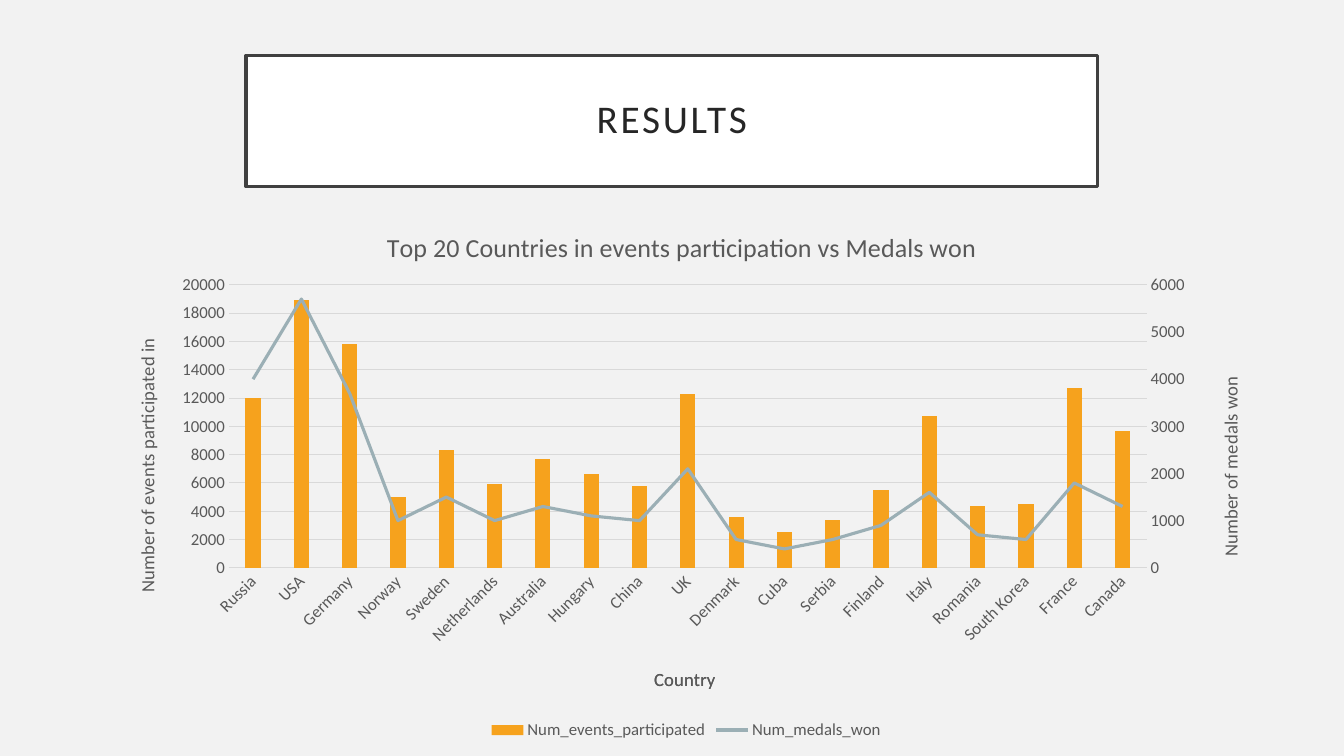
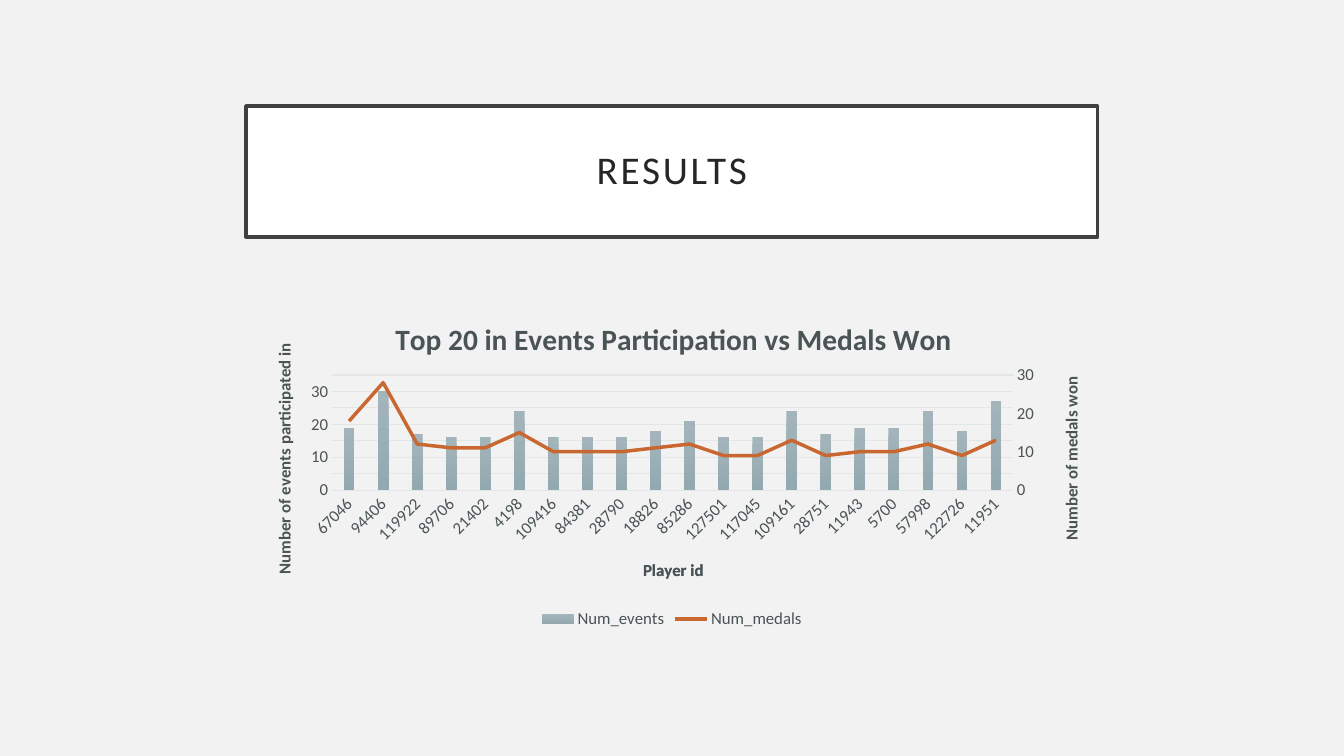
import copy

import pptx
import pptx.chart.axis
import pptx.chart.data
import pptx.dml.color
import pptx.enum.chart
import pptx.enum.text
import pptx.oxml
import pptx.oxml.ns
import pptx.util

Cm = pptx.util.Cm
Pt = pptx.util.Pt
RGBColor = pptx.dml.color.RGBColor
XL = pptx.enum.chart

FONT = "Calibri"
BACKGROUND = RGBColor(0xF2, 0xF2, 0xF2)
WHITE = RGBColor(0xFF, 0xFF, 0xFF)
FRAME = RGBColor(0x40, 0x40, 0x40)
HEADING = RGBColor(0x26, 0x26, 0x26)
GRAY_TEXT = RGBColor(0x59, 0x59, 0x59)
GRAY_GRID = RGBColor(0xD9, 0xD9, 0xD9)
SLATE_TEXT = RGBColor(0x4A, 0x53, 0x56)
SLATE_GRID = RGBColor(0xE3, 0xE6, 0xE7)
AMBER = RGBColor(0xF6, 0xA2, 0x1D)
SLATE = RGBColor(0x9B, 0xAF, 0xB5)
SLATE_LIGHT = RGBColor(0xA3, 0xB5, 0xBB)
SLATE_DARK = RGBColor(0x93, 0xA9, 0xAF)
RUST = RGBColor(0xC9, 0x67, 0x31)

# Boxes and title positions are in centimetres on the slide.
COUNTRIES = dict(
    box=(2.69, 5.03, 29.21, 13.72), plot=(5.77, 7.18, 23.13, 7.13),
    title=("Top 20 Countries in events participation vs Medals won", 9.63, 5.65),
    cat_title=("Country", 16.4, 16.7),
    left_title=("Number of events participated in", 3.3, 8.44),
    right_title=("Number of medals won", 30.6, 9.4),
    title_size=18.6, axis_title_size=13.3, bold=False,
    text=GRAY_TEXT, grid=GRAY_GRID, bars=[AMBER], line=(SLATE, 2.25),
    left_scale=(20000, 2000), right_scale=(6000, 1000),
    cats=["Russia", "USA", "Germany", "Norway", "Sweden", "Netherlands",
          "Australia", "Hungary", "China", "UK", "Denmark", "Cuba", "Serbia",
          "Finland", "Italy", "Romania", "South Korea", "France", "Canada"],
    series={
        "Num_events_participated": [
            12000, 18900, 15800, 5000, 8300, 5900, 7700, 6600, 5800, 12300,
            3600, 2500, 3400, 5500, 10700, 4400, 4500, 12700, 9700],
        "Num_medals_won": [
            4000, 5700, 3700, 1000, 1500, 1000, 1300, 1100, 1000, 2100,
            600, 400, 600, 900, 1600, 700, 600, 1800, 1300]})

PLAYERS = dict(
    box=(6.2, 7.34, 21.46, 8.61), plot=(8.37, 9.45, 17.16, 2.9),
    title=("Top 20 in Events Participation vs Medals Won", 9.83, 7.9),
    cat_title=("Player id", 16.13, 14),
    left_title=("Number of events participated in", 6.8, 8.57),
    right_title=("Number of medals won", 26.63, 9.42),
    title_size=21, axis_title_size=12, bold=True,
    text=SLATE_TEXT, grid=SLATE_GRID, bars=[SLATE_LIGHT, SLATE_DARK],
    line=(RUST, 2.5), left_scale=(35, 5), right_scale=(30, 10),
    cats=["67046", "94406", "119922", "89706", "21402", "4198", "109416",
          "84381", "28790", "18826", "85286", "127501", "117045", "109161",
          "28751", "11943", "5700", "57998", "122726", "11951"],
    series={
        "Num_events": [19, 30, 17, 16, 16, 24, 16, 16, 16, 18,
                       21, 16, 16, 24, 17, 19, 19, 24, 18, 27],
        "Num_medals": [18, 28, 12, 11, 11, 15, 10, 10, 10, 11,
                       12, 9, 9, 13, 9, 10, 10, 12, 9, 13]})


def format_font(font, size, color, bold=False):
    font.name, font.size, font.bold = FONT, Pt(size), bold
    font.color.rgb = color


def put_text(tf, text, size, color, bold=False, spacing=0):
    """Write one run into the first paragraph; spacing is in points."""
    p = tf.paragraphs[0]
    for old in list(p.runs):
        p._p.remove(old._r)
    r = p.add_run()
    r.text = text
    format_font(r.font, size, color, bold)
    if spacing:
        r.font._element.set("spc", str(spacing * 100))
    return p


def add_title(s, text, top):
    sp = s.shapes.title
    sp.left, sp.top, sp.width, sp.height = Cm(6.2), Cm(top), Cm(21.46), Cm(3.3)
    sp.fill.solid()
    sp.fill.fore_color.rgb = WHITE
    sp.line.color.rgb = FRAME
    sp.line.width = Pt(2.5)
    tf = sp.text_frame
    tf.word_wrap = True
    tf.vertical_anchor = pptx.enum.text.MSO_ANCHOR.MIDDLE
    tf.margin_left = tf.margin_right = tf.margin_top = tf.margin_bottom = Cm(0.5)
    p = put_text(tf, text, 28, HEADING, spacing=2)
    p.alignment = pptx.enum.text.PP_ALIGN.CENTER
    p.line_spacing = 0.9


def place(element, index, box, left, top, width=None, height=None):
    """Give a chart part a manual layout from its place on the slide."""
    for old in element.xpath("c:layout"):
        element.remove(old)
    values = {"x": (left - box[0]) / box[2], "y": (top - box[1]) / box[3]}
    target = ""
    if width:
        target = '<c:layoutTarget val="inner"/>'
        values.update(w=width / box[2], h=height / box[3])
    modes = "".join(f'<c:{k}Mode val="edge"/>' for k in "xy")
    sizes = "".join(f'<c:{k} val="{v:.4f}"/>' for k, v in values.items())
    element.insert(index, pptx.oxml.parse_xml(
        f'<c:layout {pptx.oxml.ns.nsdecls("c")}><c:manualLayout>'
        f'{target}{modes}{sizes}</c:manualLayout></c:layout>'))


def title_part(title, content, size, cfg, rotation=0):
    text, left, top = content
    put_text(title.text_frame, text, size, cfg["text"], cfg["bold"])
    title._element.xpath(".//a:bodyPr")[0].set("rot", str(rotation * 60000))
    place(title._element, 1, cfg["box"], left, top)


def format_axis(axis, content, cfg, rotation=0):
    axis.major_tick_mark = axis.minor_tick_mark = XL.XL_TICK_MARK.NONE
    format_font(axis.tick_labels.font, 12, cfg["text"])
    title_part(axis.axis_title, content, cfg["axis_title_size"], cfg, rotation)


def format_value_axis(axis, content, scale, cfg):
    format_axis(axis, content, cfg, rotation=-90)
    axis.minimum_scale = 0
    axis.maximum_scale, axis.major_unit = scale
    axis.format.line.fill.background()


def add_second_axes(chart):
    """Move the last series to a line plot with its own axes; return its value axis."""
    bars = chart._chartSpace.xpath(".//c:barChart")[0]
    ser = bars.xpath("c:ser")[-1]
    for flag in ser.xpath("c:invertIfNegative"):
        ser.remove(flag)
    lines = pptx.oxml.parse_xml(
        f'<c:lineChart {pptx.oxml.ns.nsdecls("c")}><c:grouping val="standard"/>'
        '<c:varyColors val="0"/><c:marker val="1"/>'
        '<c:axId val="3001"/><c:axId val="3002"/></c:lineChart>')
    lines.insert(2, ser)
    bars.addnext(lines)
    cat = copy.deepcopy(chart.category_axis._element)
    val = copy.deepcopy(chart.value_axis._element)
    chart.value_axis._element.addnext(val)
    val.addnext(cat)
    for element, own, other in ((cat, "3001", "3002"), (val, "3002", "3001")):
        element.xpath("c:axId")[0].set("val", own)
        element.xpath("c:crossAx")[0].set("val", other)
    val.xpath("c:axPos")[0].set("val", "r")
    val.xpath("c:crosses")[0].set("val", "max")
    pptx.chart.axis.CategoryAxis(cat).visible = False
    return pptx.chart.axis.ValueAxis(val)


def format_bars(plot, colors):
    plot.gap_width, plot.overlap, plot.vary_by_categories = 219, -27, False
    fill = plot.series[0].format.fill
    if len(colors) == 1:
        fill.solid()
        fill.fore_color.rgb = colors[0]
    else:
        fill.gradient()
        fill.gradient_angle = 270
        for stop, color in zip(fill.gradient_stops, colors):
            stop.color.rgb = color


def format_line(series, color, width):
    series.smooth = False
    series.marker.style = XL.XL_MARKER_STYLE.NONE
    series.format.line.color.rgb = color
    series.format.line.width = Pt(width)


def add_combined_chart(s, cfg):
    data = pptx.chart.data.CategoryChartData()
    data.categories = cfg["cats"]
    for name, values in cfg["series"].items():
        data.add_series(name, values)
    chart = s.shapes.add_chart(XL.XL_CHART_TYPE.COLUMN_CLUSTERED,
                               *map(Cm, cfg["box"]), data).chart
    format_font(chart.font, 10, cfg["text"])
    chart.has_title = True
    title_part(chart.chart_title, cfg["title"], cfg["title_size"], cfg)

    cat, left = chart.category_axis, chart.value_axis
    format_axis(cat, cfg["cat_title"], cfg)
    cat._element.xpath("c:txPr/a:bodyPr")[0].set("rot", str(-45 * 60000))
    format_value_axis(left, cfg["left_title"], cfg["left_scale"], cfg)
    left.has_major_gridlines = True
    for line in (cat.format.line, left.major_gridlines.format.line):
        line.color.rgb = cfg["grid"]
        line.width = Pt(0.75)
    right = add_second_axes(chart)
    right.has_major_gridlines = False
    format_value_axis(right, cfg["right_title"], cfg["right_scale"], cfg)

    format_bars(chart.plots[0], cfg["bars"])
    format_line(chart.plots[1].series[0], *cfg["line"])
    place(chart._chartSpace.xpath(".//c:plotArea")[0], 0, cfg["box"], *cfg["plot"])
    chart.has_legend = True
    chart.legend.position = XL.XL_LEGEND_POSITION.BOTTOM
    chart.legend.include_in_layout = False
    format_font(chart.legend.font, 12, cfg["text"])


def main():
    prs = pptx.Presentation()
    prs.slide_width, prs.slide_height = Cm(33.87), Cm(19.05)
    fill = prs.slide_master.background.fill
    fill.solid()
    fill.fore_color.rgb = BACKGROUND
    for title_top, cfg in ((1.4, COUNTRIES), (2.67, PLAYERS)):
        s = prs.slides.add_slide(prs.slide_layouts[5])
        add_title(s, "RESULTS", title_top)
        add_combined_chart(s, cfg)
    prs.save("out.pptx")


if __name__ == "__main__":
    main()
